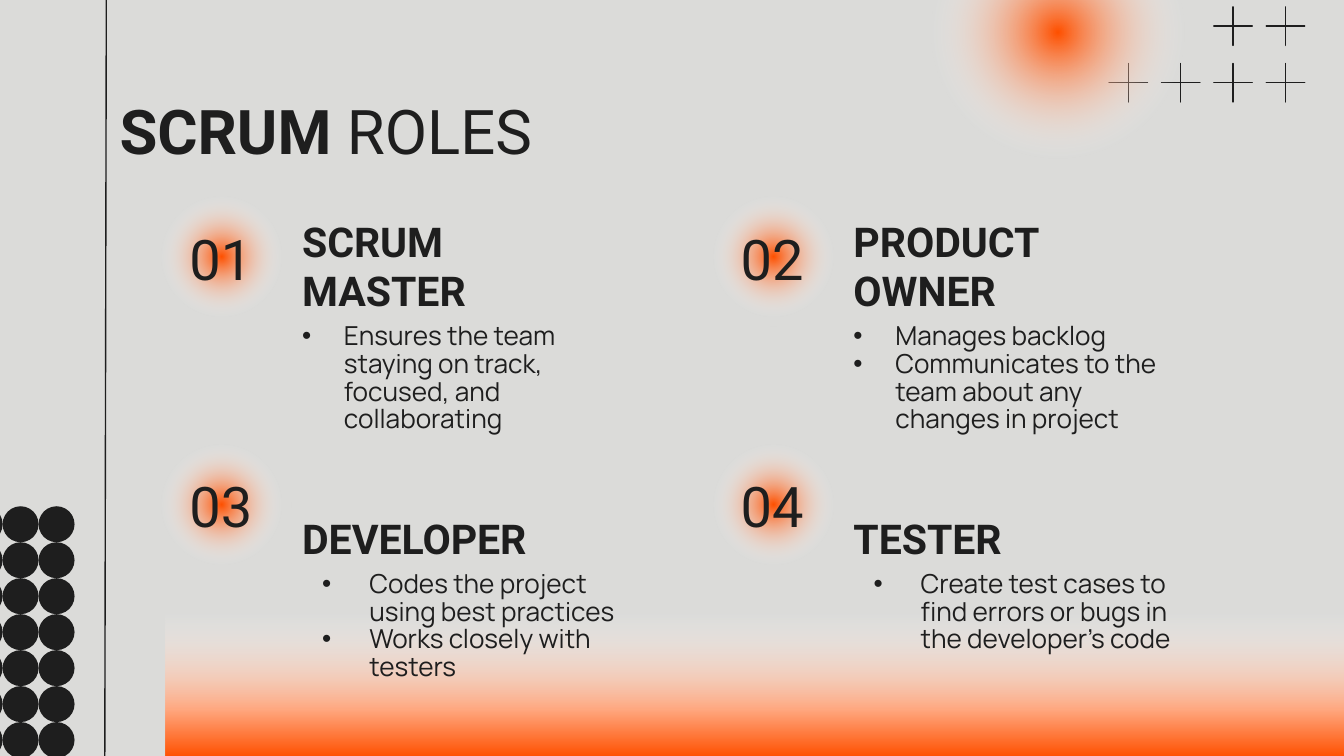
from dataclasses import dataclass
from itertools import product
from pptx import Presentation
from pptx.dml.color import RGBColor as Rgb
from pptx.enum.shapes import MSO_CONNECTOR as Wire, MSO_SHAPE as Kind
from pptx.enum.text import MSO_ANCHOR as Anchor, MSO_AUTO_SIZE as Fit, PP_ALIGN as Align
from pptx.oxml import parse_xml
from pptx.oxml.ns import nsdecls, qn
from pptx.util import Cm, Pt


@dataclass(frozen=True)
class Theme:
    ink: str = "1E1E1E"
    paper: str = "DBDBD9"
    white: str = "FFFFFF"
    flame: str = "FF5000"
    peach: str = "FFA880"
    head: str = "Roboto"
    body: str = "Manrope"
    title: int = 33
    number: int = 30
    role: int = 22
    text: int = 14
    line: float = 0.75
    pad: float = 0.25
    lead: float = 0.88


class Board:
    def __init__(self, slide, theme):
        self.slide = slide
        self.theme = theme
        slide.background.fill.solid()
        slide.background.fill.fore_color.rgb = Rgb.from_string(theme.paper)

    def shape(self, kind, box, fill=None, line=None):
        item = self.slide.shapes.add_shape(kind, *map(Cm, box))
        item.shadow.inherit = False
        if fill:
            item.fill.solid()
            item.fill.fore_color.rgb = Rgb.from_string(fill)
        if line:
            item.line.color.rgb = Rgb.from_string(line)
            item.line.width = Pt(self.theme.line)
        else:
            item.line.fill.background()
        return item

    def fade(self, kind, box, stops, course):
        item = self.shape(kind, box)
        item.fill.gradient()
        marks = "".join(
            f'<a:gs pos="{pos * 1000}"><a:srgbClr val="{tone}">'
            f'<a:alpha val="{alpha * 1000}"/></a:srgbClr></a:gs>'
            for pos, tone, alpha in stops)
        props = item._element.spPr
        props.replace(props.find(qn("a:gradFill")), parse_xml(
            f'<a:gradFill {nsdecls("a")} rotWithShape="1">'
            f'<a:gsLst>{marks}</a:gsLst>{course}</a:gradFill>'))

    def glow(self, left, top, size):
        look = self.theme
        self.fade(Kind.OVAL, (left, top, size, size),
                  [(0, look.flame, 100), (61, look.white, 0), (100, look.white, 0)],
                  '<a:path path="circle"><a:fillToRect l="50000" t="50000" '
                  'r="50000" b="50000"/></a:path>')

    def band(self, box):
        look = self.theme
        self.fade(Kind.RECTANGLE, box,
                  [(0, look.white, 0), (67, look.peach, 100), (100, look.flame, 100)],
                  '<a:lin ang="5400000" scaled="0"/>')

    def rule(self, *ends):
        item = self.slide.shapes.add_connector(Wire.STRAIGHT, *map(Cm, ends))
        item.line.color.rgb = Rgb.from_string(self.theme.ink)
        item.line.width = Pt(self.theme.line)
        item._element.spPr.append(parse_xml(f'<a:effectLst {nsdecls("a")}/>'))

    def words(self, item, lines, size, font, anchor=Anchor.TOP, align=Align.LEFT, lead=1.0):
        frame = item.text_frame
        frame.word_wrap = True
        frame.auto_size = Fit.NONE
        frame.vertical_anchor = anchor
        frame.margin_left = frame.margin_right = Cm(self.theme.pad)
        frame.margin_top = frame.margin_bottom = Cm(self.theme.pad)
        for spot, runs in enumerate(lines):
            para = frame.add_paragraph() if spot else frame.paragraphs[0]
            para.alignment = align
            para.line_spacing = lead
            para.space_before = para.space_after = Pt(0)
            for text, bold in runs:
                run = para.add_run()
                run.text = text
                run.font.size = Pt(size)
                run.font.name = font
                run.font.bold = bold
                run.font.color.rgb = Rgb.from_string(self.theme.ink)
        return frame

    def label(self, box, lines, size, **style):
        item = self.slide.shapes.add_textbox(*map(Cm, box))
        self.words(item, lines, size, self.theme.head, **style)

    def holder(self, key, box):
        item = self.slide.placeholders[key]
        item.left, item.top, item.width, item.height = map(Cm, box)
        self.slide.shapes._spTree.append(item._element)
        return item

    def title(self, box, runs):
        self.words(self.holder(0, box), [runs], self.theme.title, self.theme.head)

    def bullets(self, key, box, points, inset, hang):
        look = self.theme
        frame = self.words(self.holder(key, box), [[(point, False)] for point in points],
                           look.text, look.body, lead=look.lead)
        for para in frame.paragraphs:
            props = para._p.get_or_add_pPr()
            props.set("marL", str(Cm(inset)))
            props.set("indent", str(-Cm(hang)))
            for part in (f'<a:buClr {nsdecls("a")}><a:srgbClr val="{look.ink}"/></a:buClr>',
                         f'<a:buFont {nsdecls("a")} typeface="Arial"/>',
                         f'<a:buChar {nsdecls("a")} char="•"/>'):
                props.append(parse_xml(part))


theme = Theme()
deck = Presentation()
deck.slide_width, deck.slide_height = Cm(25.4), Cm(14.29)
board = Board(deck.slides.add_slide(deck.slide_layouts[4]), theme)

DOT = 0.68
for row, col in product(range(7), range(3)):
    board.shape(Kind.OVAL, (-0.63 + col * DOT, 9.57 + row * DOT, DOT, DOT), theme.ink)

PLUS = 0.99
for top, cols in ((1.07, range(4)), (0, range(2, 4))):
    for col in cols:
        cross = board.shape(Kind.MATH_PLUS, (20.83 + col * PLUS, top, PLUS, PLUS),
                            theme.white, theme.ink)
        cross.adjustments[0] = 0

board.glow(17.22, -2.16, 5.54)
board.band((3.12, 11.58, 22.28, 2.71))
board.rule(2.01, -0.05, 1.98, 14.63)
board.title((2.01, 1.5, 21.39, 1.6), [("SCRUM ", True), ("ROLES", False)])

SHORT, LONG = (0.79, 0.79), (1.27, 0.89)
roles = [
    (["SCRUM", "MASTER"], SHORT,
     ["Ensures the team staying on track, focused, and collaborating"]),
    (["PRODUCT", "OWNER"], SHORT,
     ["Manages backlog", "Communicates to the team about any changes in project"]),
    (["DEVELOPER"], LONG,
     ["Codes the project using best practices", "Works closely with testers"]),
    (["TESTER"], LONG,
     ["Create test cases to find errors or bugs in the developer’s code"]),
]
for spot, (name, dent, points) in enumerate(roles):
    row, col = divmod(spot, 2)
    left, top = col * 10.42, row * 4.68
    board.glow(2.87 + left, 3.53 + top, 2.64)
    board.label((2.92 + left, 4.14 + top, 2.51, 1.47), [[(f"{spot + 1:02}", False)]],
                theme.number, anchor=Anchor.MIDDLE, align=Align.CENTER)
    board.label((5.46 + left, 4.14 + top, 6.65, 2.06), [[(word, True)] for word in name],
                theme.role, anchor=Anchor.BOTTOM)
    board.bullets(spot + 1, (5.46 + left, 5.87 + top, 6.65, 1.47), points, *dent)

deck.save("out.pptx")
